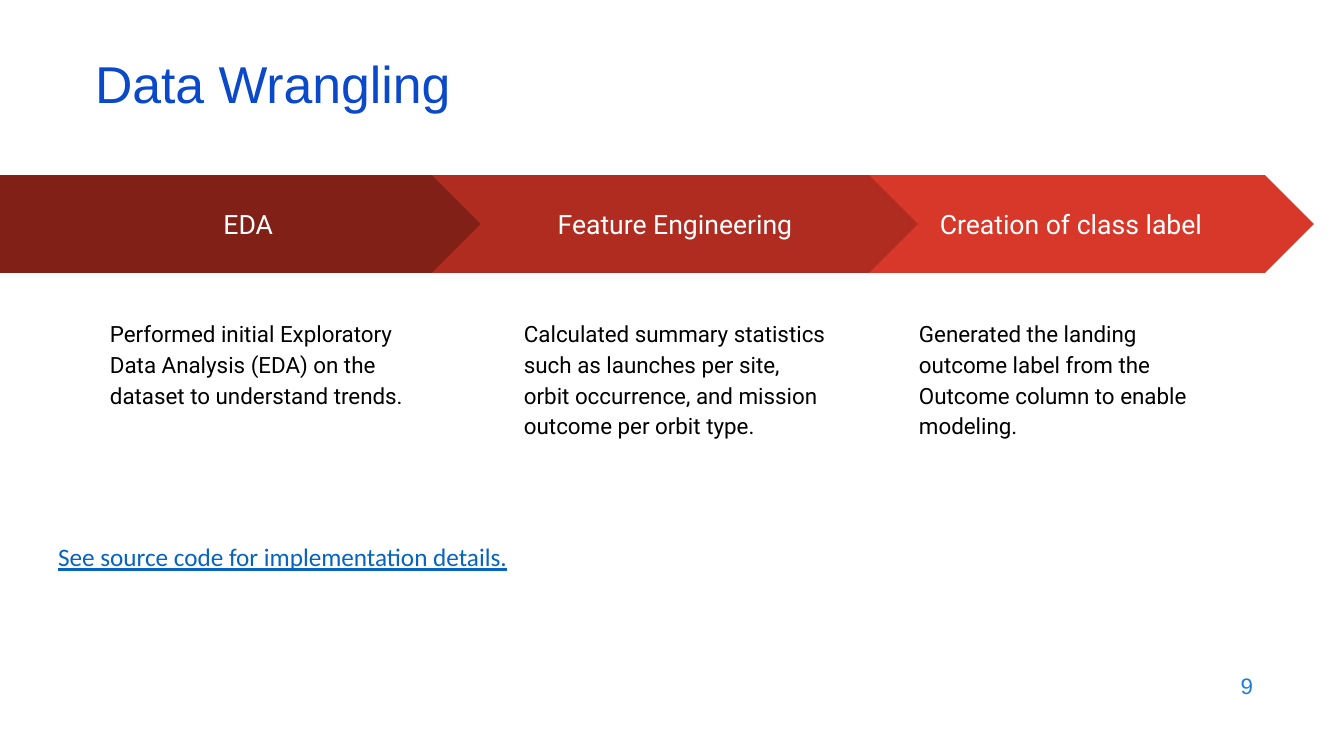
from pptx import Presentation
from pptx.dml.color import RGBColor as Rgb
from pptx.enum.shapes import MSO_SHAPE as Kind
from pptx.enum.text import MSO_ANCHOR as Anchor, PP_ALIGN as Align
from pptx.util import Pt

SCALE = 914400 / 100.8
HUES = {
    "title": "0B49CB", "page": "1C7DDB", "link": "0563C1",
    "dark": "802017", "mid": "B02C20", "light": "D83829",
    "white": "FFFFFF", "black": "000000",
}


def px(*nums):
    return [round(n * SCALE) for n in nums]


def write(shape, text, size, font, hue, align=Align.LEFT, anchor=Anchor.TOP,
          pads=(10, 5), lead=1.0, under=None):
    frame = shape.text_frame
    frame.word_wrap = True
    frame.vertical_anchor = anchor
    side, edge = px(*pads)
    frame.margin_left = frame.margin_right = side
    frame.margin_top = frame.margin_bottom = edge
    para = frame.paragraphs[0]
    para.alignment = align
    para.line_spacing = lead
    run = para.add_run()
    run.text = text
    run.font.size = Pt(size)
    run.font.name = font
    run.font.underline = under
    run.font.color.rgb = Rgb.from_string(HUES[hue])


def label(slide, box, text, **form):
    write(slide.shapes.add_textbox(*px(*box)), text, **form)


def stage(slide, box, kind, hue, head, body, inset):
    left, top, width, height = box
    arrow = slide.shapes.add_shape(kind, *px(*box))
    arrow.adjustments[0] = 0.5
    arrow.shadow.inherit = False
    arrow.fill.solid()
    arrow.fill.fore_color.rgb = Rgb.from_string(HUES[hue])
    arrow.line.fill.background()
    write(arrow, head, size=19, font="Roboto", hue="white",
          align=Align.CENTER, anchor=Anchor.MIDDLE, pads=(13, 13))
    label(slide, (left + inset, top + 128, 329, 384), body, size=16,
          font="Roboto", hue="black", pads=(13, 13), lead=1.15)


def flow(slide, box):
    left, top, width, height = box
    step = 396
    start = left + width - 486 - step
    stage(slide, (start + step, top, 486, height), Kind.CHEVRON, "light",
          "Creation of class label",
          "Generated the landing outcome label from the Outcome column "
          "to enable modeling.", 78)
    stage(slide, (left, top, 521, height), Kind.PENTAGON, "dark", "EDA",
          "Performed initial Exploratory Data Analysis (EDA) on the dataset "
          "to understand trends.", 97)
    stage(slide, (start, top, 486, height), Kind.CHEVRON, "mid",
          "Feature Engineering",
          "Calculated summary statistics such as launches per site, orbit "
          "occurrence, and mission outcome per orbit type.", 79)


def main():
    deck = Presentation()
    deck.slide_width, deck.slide_height = px(1344, 756)
    slide = deck.slides.add_slide(deck.slide_layouts[6])
    label(slide, (961, 664, 302, 44), "9", size=16, font="Arial", hue="page",
          align=Align.RIGHT, anchor=Anchor.MIDDLE)
    label(slide, (85, 59, 1159, 60), "Data Wrangling", size=37, font="Arial",
          hue="title", anchor=Anchor.MIDDLE, lead=0.8)
    flow(slide, (0, 175, 1314, 98))
    label(slide, (48, 540, 757, 184),
          "See source code for implementation details.", size=18,
          font="Calibri", hue="link", lead=0.9, under=True)
    deck.save("out.pptx")


if __name__ == "__main__":
    main()
